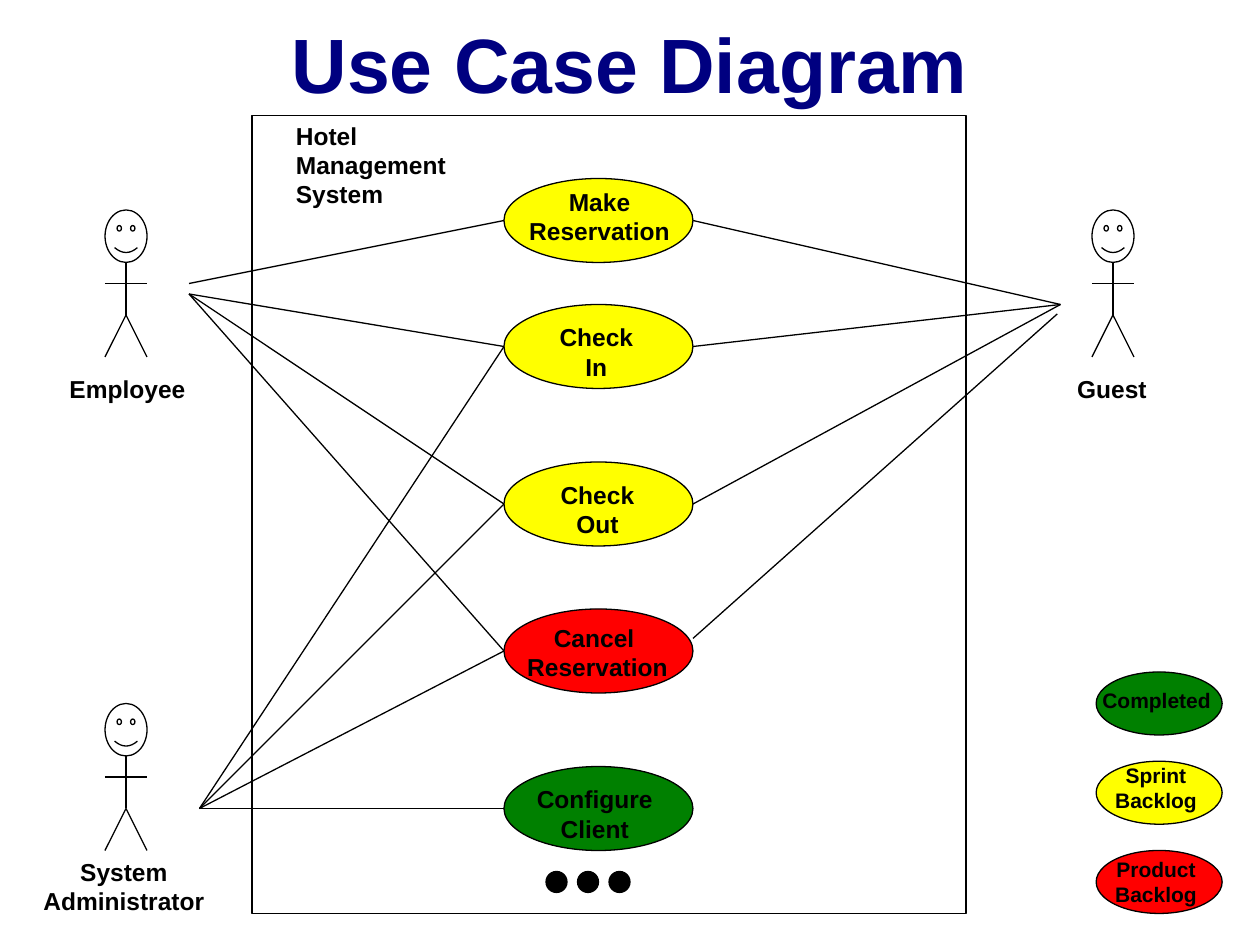
from pptx import Presentation
from pptx.dml.color import RGBColor
from pptx.enum.shapes import MSO_CONNECTOR, MSO_SHAPE
from pptx.enum.text import MSO_ANCHOR, MSO_AUTO_SIZE, PP_ALIGN
from pptx.oxml.ns import qn
from pptx.util import Pt
from lxml.etree import SubElement

EMU_PER_PX = 7620  # 120 px to the inch
BLACK, NAVY = "000000", "000080"
GREEN, YELLOW, RED = "008000", "FFFF00", "FF0000"
CASE_LEFT, CASE_WIDTH, CASE_HEIGHT = 480, 180, 80
CASE_RIGHT = CASE_LEFT + CASE_WIDTH


def px(*lengths):
    return [length * EMU_PER_PX for length in lengths]


def color(hex_code):
    return RGBColor.from_string(hex_code)


class Diagram:
    font = "Arial"
    line_width = Pt(0.75)

    def __init__(self, slide):
        self.slide = slide

    def text(self, content, box, size=14, ink=BLACK, align=PP_ALIGN.CENTER,
             anchor=MSO_ANCHOR.TOP):
        """Add bold text, one paragraph for each line of content."""
        frame = self.slide.shapes.add_textbox(*px(*box)).text_frame
        frame.word_wrap = False
        frame.auto_size = MSO_AUTO_SIZE.SHAPE_TO_FIT_TEXT
        frame.vertical_anchor = anchor
        frame.text = content
        for paragraph in frame.paragraphs:
            paragraph.alignment = align
            paragraph.font.name = self.font
            paragraph.font.size = Pt(size)
            paragraph.font.bold = True
            paragraph.font.color.rgb = color(ink)

    def shape(self, preset, box, fill=None, parent=None):
        shapes = (parent or self.slide).shapes
        outline = shapes.add_shape(preset, *px(*box))
        outline.shadow.inherit = False
        if fill:
            outline.fill.solid()
            outline.fill.fore_color.rgb = color(fill)
        else:
            outline.fill.background()
        outline.line.color.rgb = color(BLACK)
        outline.line.width = self.line_width

    def line(self, start, end, parent=None):
        shapes = (parent or self.slide).shapes
        link = shapes.add_connector(MSO_CONNECTOR.STRAIGHT, *px(*start, *end))
        link.line.color.rgb = color(BLACK)
        link.line.width = self.line_width
        SubElement(link._element.spPr, qn("a:effectLst"))

    def ellipse(self, box, fill):
        self.shape(MSO_SHAPE.OVAL, box, fill)

    def actor(self, left, top):
        """Draw a stick figure as one group."""
        figure = self.slide.shapes.add_group_shape()
        middle, right = left + 20, left + 40
        hip, foot, arm = top + 100, top + 140, top + 70
        self.shape(MSO_SHAPE.SMILEY_FACE, (left, top, 40, 50), parent=figure)
        self.line((middle, top + 50), (middle, hip), figure)
        self.line((middle, hip), (right, foot), figure)
        self.line((middle, hip), (left, foot), figure)
        self.line((left, arm), (right, arm), figure)


def main():
    deck = Presentation()
    deck.slide_width, deck.slide_height = px(1200, 900)
    diagram = Diagram(deck.slides.add_slide(deck.slide_layouts[6]))

    diagram.text("Use Case Diagram", (90, 9, 1020, 101), size=44, ink=NAVY,
                 anchor=MSO_ANCHOR.MIDDLE)
    diagram.shape(MSO_SHAPE.RECTANGLE, (240, 110, 680, 760))
    diagram.text("Hotel\nManagement\nSystem", (270, 109, 168, 96),
                 align=PP_ALIGN.LEFT)

    # Middle height, fill, label and label box of each use case
    make, check_in, check_out, cancel, configure = 210, 330, 480, 620, 770
    use_cases = [
        (make, YELLOW, "Make\nReservation", (491, 172, 160, 68)),
        (check_in, YELLOW, "Check\nIn", (520, 301, 96, 68)),
        (check_out, YELLOW, "Check\nOut", (521, 451, 96, 68)),
        (cancel, RED, "Cancel \nReservation", (489, 587, 160, 68)),
        (configure, GREEN, "Configure\nClient", (498, 741, 137, 68)),
    ]
    for middle, fill, label, label_box in use_cases:
        top = middle - CASE_HEIGHT // 2
        diagram.ellipse((CASE_LEFT, top, CASE_WIDTH, CASE_HEIGHT), fill)
        diagram.text(label, label_box)

    actors = [
        (100, 200, "Employee", (53, 350, 137, 41)),
        (1040, 200, "Guest", (1013, 350, 92, 41)),
        (100, 670, "System\nAdministrator", (28, 810, 180, 68)),
    ]
    for left, top, label, label_box in actors:
        diagram.actor(left, top)
        diagram.text(label, label_box)

    employee, guest, administrator = (180, 280), (1010, 290), (190, 770)
    associations = [
        (employee, CASE_LEFT, (check_in, check_out, cancel)),
        (guest, CASE_RIGHT, (make, check_in, check_out)),
        (administrator, CASE_LEFT, (configure, cancel, check_out, check_in)),
    ]
    for start, case_edge, middles in associations:
        for middle in middles:
            diagram.line(start, (case_edge, middle))
    diagram.line((180, 270), (CASE_LEFT, make))
    diagram.line((1007, 299), (CASE_RIGHT, 608))

    for dot in range(3):
        diagram.ellipse((520 + 30 * dot, 830, 20, 20), BLACK)

    legend = [
        (GREEN, "Completed", (1037, 649, 129, 36)),
        (YELLOW, "Sprint\nBacklog", (1049, 720, 104, 60)),
        (RED, "Product\nBacklog", (1049, 810, 104, 60)),
    ]
    for row, (fill, label, label_box) in enumerate(legend):
        diagram.ellipse((1044, 640 + 85 * row, 120, 60), fill)
        diagram.text(label, label_box, size=12)

    deck.save("out.pptx")


if __name__ == "__main__":
    main()
